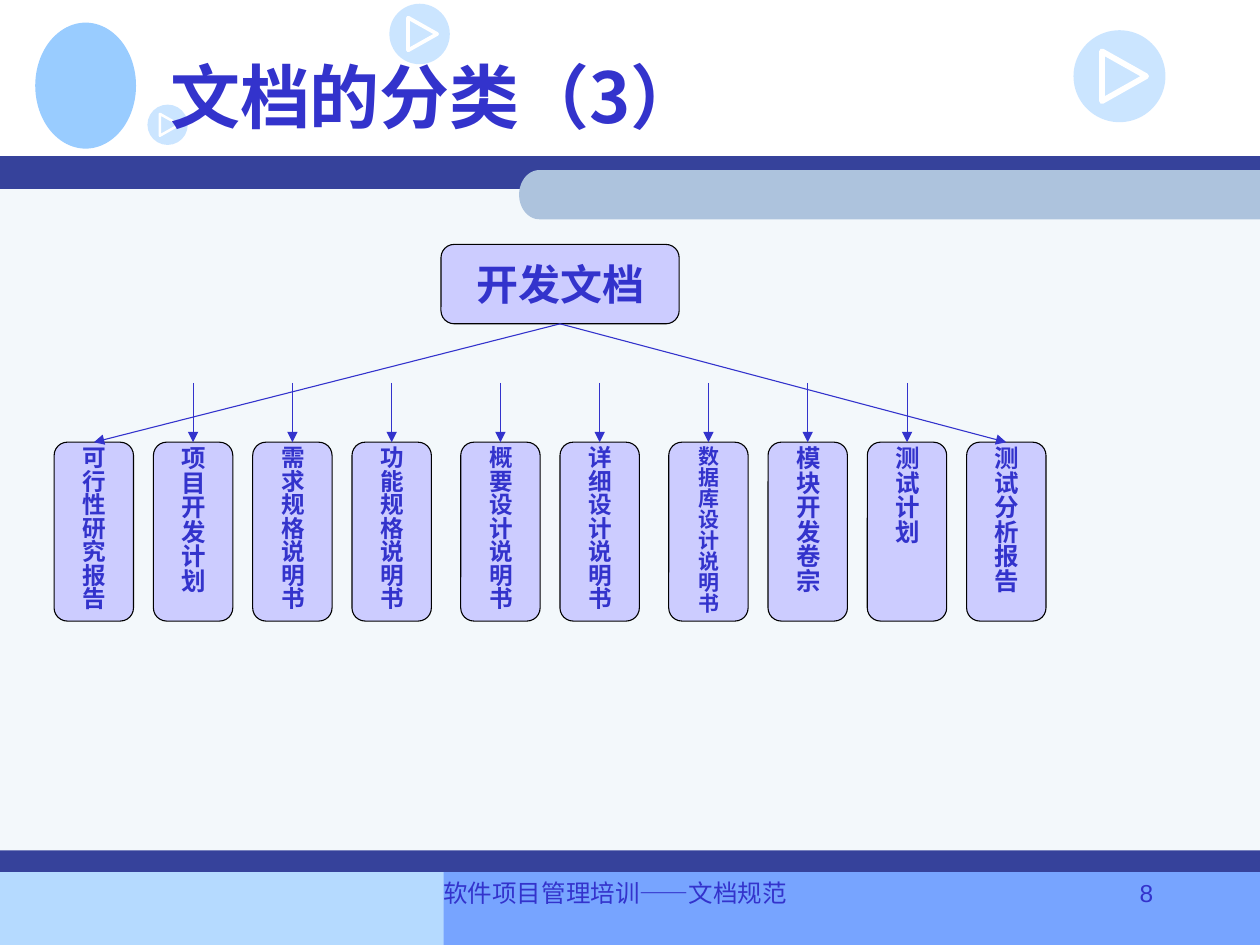
"""Build the slide that classifies development documents."""
import math

from lxml import etree
from pptx import Presentation
from pptx import util as u
from pptx.dml.color import RGBColor
from pptx.enum import shapes, text
from pptx.oxml import ns

INDIGO = RGBColor(0x33, 0x33, 0xCC)
NAVY = RGBColor(0x36, 0x42, 0x9B)
LAVENDER = RGBColor(0xCC, 0xCC, 0xFF)
SKY = RGBColor(0x99, 0xCC, 0xFF)
PALE_BLUE = RGBColor(0xB5, 0xDA, 0xFF)
BRIGHT_BLUE = RGBColor(0x77, 0xA4, 0xFF)
MIST = RGBColor(0xF3, 0xF8, 0xFB)
STEEL = RGBColor(0xAD, 0xC3, 0xDD)
WHITE = RGBColor(0xFF, 0xFF, 0xFF)
BLACK = RGBColor(0, 0, 0)
CJK_FONT = "Noto Sans CJK SC"

deck = Presentation()
deck.slide_width, deck.slide_height = u.Inches(10), u.Inches(7.5)
page = deck.slides.add_slide(deck.slide_layouts[5])
width_share, height_share = deck.slide_width / 100, deck.slide_height / 100


def add_box(kind, place, fill, line=None):
    left, top, width, height = place
    box = page.shapes.add_shape(
        kind, round(left * width_share), round(top * height_share),
        round(width * width_share), round(height * height_share))
    box.shadow.inherit = False
    box.fill.solid()
    box.fill.fore_color.rgb = fill
    if line is None:
        box.line.fill.background()
    else:
        box.line.color.rgb = line
        box.line.width = u.Pt(0.62)
    return box


def write(frame, words, size, align, font=CJK_FONT, bold=True):
    para = frame.paragraphs[0]
    para.alignment = align
    span = para.add_run()
    span.text = words
    span.font.size = u.Pt(size)
    span.font.name = font
    span.font.bold = bold
    span.font.color.rgb = INDIGO
    east_asian = etree.SubElement(span.font._element, ns.qn("a:ea"))
    east_asian.set("typeface", CJK_FONT)


for place, fill in (
    ((0, 92.27, 42.5, 7.73), PALE_BLUE),
    ((35.2, 92.13, 64.8, 7.87), BRIGHT_BLUE),
    ((0, 18.67, 100, 73.47), MIST),
    ((0, 16.53, 100, 3.47), NAVY),
    ((0, 90, 100, 2.27), NAVY),
):
    add_box(shapes.MSO_SHAPE.RECTANGLE, place, fill)

arc = [math.radians(angle) for angle in range(90, 271, 6)]
tab_points = [((42.8 + 1.6 * math.cos(a)) * width_share,
               (20.6 - 2.6 * math.sin(a)) * height_share) for a in arc]
tab_points += [(100 * width_share, 23.2 * height_share),
               (100 * width_share, 18 * height_share)]
outline = page.shapes.build_freeform(*tab_points[0])
outline.add_line_segments(tab_points[1:], close=True)
tab = outline.convert_to_shape()
tab.shadow.inherit = False
tab.fill.solid()
tab.fill.fore_color.rgb = STEEL
tab.line.fill.background()

add_box(shapes.MSO_SHAPE.OVAL, (2.8, 2.4, 8, 13.33), SKY)

for left, top, size in ((30.9, 0.4, 4.8), (85.2, 3.2, 7.3), (11.7, 11.07, 3.2)):
    disc = add_box(shapes.MSO_SHAPE.OVAL, (left, top, size, size * 4 / 3), SKY)
    colour = disc.fill._xPr.find(".//" + ns.qn("a:srgbClr"))
    etree.SubElement(colour, ns.qn("a:alpha")).set("val", "50000")
    corners = [(disc.left + x * disc.width, disc.top + y * disc.height)
               for x, y in ((0.31, 0.23), (0.79, 0.5), (0.31, 0.77))]
    outline = page.shapes.build_freeform(*corners[0])
    outline.add_line_segments(corners[1:], close=True)
    play = outline.convert_to_shape()
    play.shadow.inherit = False
    play.fill.background()
    play.line.color.rgb = WHITE
    play.line.width = u.Pt(0.45 * size)
    etree.SubElement(play.line._ln, ns.qn("a:round"))

title = page.shapes.title
page.shapes.element.append(title.element)
title.left, title.width = round(12.5 * width_share), round(85 * width_share)
title.top, title.height = round(2.27 * height_share), round(15.6 * height_share)
title.text_frame.auto_size = text.MSO_AUTO_SIZE.NONE
title.text_frame.vertical_anchor = text.MSO_ANCHOR.MIDDLE
write(title.text_frame, "文档的分类（3）", 40, text.PP_ALIGN.LEFT)

PROCESS = shapes.MSO_SHAPE.FLOWCHART_ALTERNATE_PROCESS
root = add_box(PROCESS, (35, 25.87, 18.9, 8.4), LAVENDER, BLACK)
root.text_frame.word_wrap = False
root.text_frame.vertical_anchor = text.MSO_ANCHOR.MIDDLE
write(root.text_frame, "开发文档", 24, text.PP_ALIGN.CENTER)

documents = ["可行性研究报告", "项目开发计划", "需求规格说明书", "功能规格说明书",
             "概要设计说明书", "详细设计说明书", "数据库设计说明书", "模块开发卷宗",
             "测试计划", "测试分析报告"]
size_by_length = {7: 13.5, 8: 12}
for column, name in enumerate(documents):
    left = 4.3 + 7.88 * column + 0.75 * ((column >= 4) + (column >= 6))
    box = add_box(PROCESS, (left, 46.8, 6.3, 18.93), LAVENDER, BLACK)
    frame = box.text_frame
    frame.word_wrap = True
    frame.vertical_anchor = text.MSO_ANCHOR.MIDDLE
    frame.margin_left = frame.margin_right = u.Inches(0.05)
    frame.margin_top = frame.margin_bottom = 0
    frame._txBody.bodyPr.set("vert", "eaVert")
    write(frame, name, size_by_length.get(len(name), 14), text.PP_ALIGN.CENTER)

    middle = box.left + box.width // 2
    arrow = page.shapes.add_connector(
        shapes.MSO_CONNECTOR.STRAIGHT, middle, round(40.53 * height_share),
        middle, box.top)
    if column in (0, len(documents) - 1):
        arrow.begin_connect(root, 2)
    arrow.end_connect(box, 0)
    arrow.line.color.rgb = INDIGO
    arrow.line.width = u.Pt(0.62)
    etree.SubElement(arrow.line._ln, ns.qn("a:tailEnd")).set("type", "triangle")
    etree.SubElement(arrow._element.spPr, ns.qn("a:effectLst"))

for left, width, words, align in (
    (34.2, 50.5, "软件项目管理培训——文档规范", text.PP_ALIGN.LEFT),
    (84.7, 7.8, "8", text.PP_ALIGN.RIGHT),
):
    footer = page.shapes.add_textbox(
        round(left * width_share), round(92.27 * height_share),
        round(width * width_share), round(6.67 * height_share))
    footer.text_frame.word_wrap = True
    write(footer.text_frame, words, 14, align, "Arial", False)

deck.save("out.pptx")
